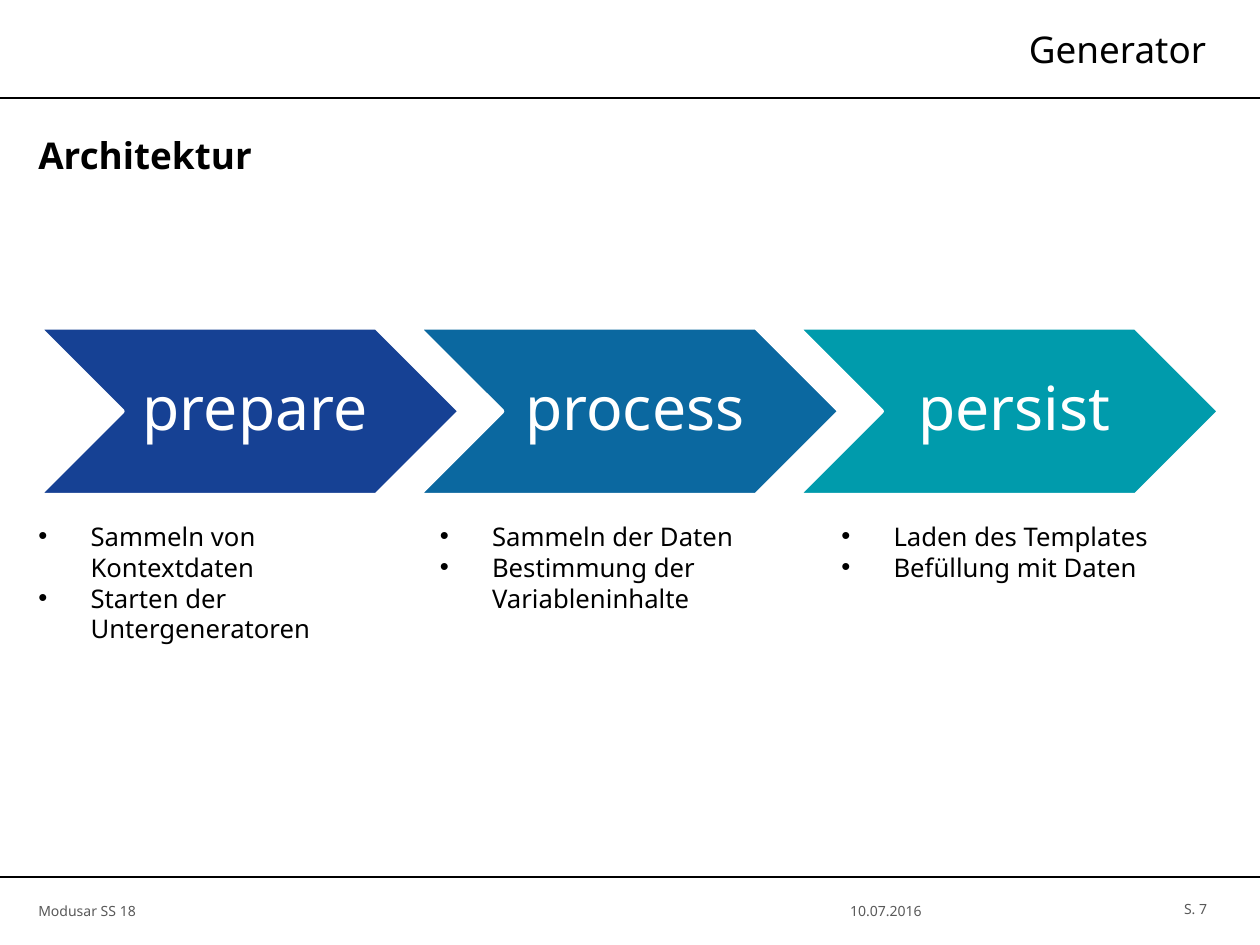
from dataclasses import dataclass

from lxml.etree import SubElement
from pptx import Presentation
from pptx.dml.color import RGBColor
from pptx.enum.shapes import MSO_CONNECTOR as Connector, MSO_SHAPE as Preset
from pptx.enum.text import MSO_ANCHOR as Anchor, PP_ALIGN as Align
from pptx.oxml.ns import qn
from pptx.util import Cm, Pt

FONT = "Noto Sans"
BLACK, WHITE, GREY = "000000", "FFFFFF", "595959"
SLIDE_WIDTH, SLIDE_HEIGHT = 19.05, 14.29
MARGIN = 0.58
STEP_TOP, STEP_WIDTH, STEP_HEIGHT, STEP_PITCH = 4.95, 6.38, 2.54, 5.74
TASKS_LEFT, TASKS_TOP, TASKS_WIDTH, TASKS_PITCH = 0.33, 7.75, 5.31, 6.07
TASK_INDENT = 0.79


@dataclass
class Label:
    text: str
    left: float
    top: float
    width: float
    height: float
    size: float
    color: str = BLACK
    align: Align = Align.LEFT
    bold: bool = False
    inset_left: float = 0
    inset_right: float = 0.18


@dataclass
class Step:
    name: str
    color: str
    tasks: tuple[str, ...]


LABELS = (
    Label("10.07.2016", 9.98, 13.26, 6.83, 1.02, 6, GREY, Align.CENTER, inset_left=0.18),
    Label("Modusar SS 18", MARGIN, 13.26, 9.4, 1.02, 6, GREY),
    Label("S. 7", 16.78, 13.24, 1.65, 1.02, 6, GREY, Align.RIGHT, inset_left=0.18),
    Label("Architektur", MARGIN, 1.65, 17.86, 1.37, 15.8, bold=True, inset_right=0),
    Label("Generator", 5.61, 0.29, 12.81, 0.89, 15.8, align=Align.RIGHT),
)
STEPS = (
    Step("prepare", "164194", ("Sammeln von Kontextdaten", "Starten der Untergeneratoren")),
    Step("process", "0B68A0", ("Sammeln der Daten", "Bestimmung der Variableninhalte")),
    Step("persist", "009BAC", ("Laden des Templates", "Befüllung mit Daten")),
)


def rgb(value: str) -> RGBColor:
    return RGBColor.from_string(value)


def style(paragraph, size: float, color: str, align: Align = Align.LEFT, bold: bool = False) -> None:
    paragraph.alignment = align
    font = paragraph.font
    font.name, font.size, font.bold = FONT, Pt(size), bold
    font.color.rgb = rgb(color)


def set_frame(frame, left: float, right: float) -> None:
    frame.word_wrap = True
    frame.vertical_anchor = Anchor.MIDDLE
    frame.margin_left, frame.margin_right = Cm(left), Cm(right)
    frame.margin_top = frame.margin_bottom = Cm(0.1)


def add_rule(shapes, top: float) -> None:
    rule = shapes.add_connector(Connector.STRAIGHT, 0, Cm(top), Cm(SLIDE_WIDTH), Cm(top))
    rule.line.color.rgb = rgb(BLACK)
    rule.line.width = Pt(1)
    SubElement(rule._element.spPr, qn("a:effectLst"))


def add_label(shapes, label: Label) -> None:
    box = shapes.add_textbox(Cm(label.left), Cm(label.top), Cm(label.width), Cm(label.height))
    frame = box.text_frame
    set_frame(frame, label.inset_left, label.inset_right)
    frame.text = label.text
    style(frame.paragraphs[0], label.size, label.color, label.align, label.bold)


def add_step(shapes, step: Step, index: int) -> None:
    chevron = shapes.add_shape(Preset.CHEVRON, Cm(MARGIN + index * STEP_PITCH), Cm(STEP_TOP),
                               Cm(STEP_WIDTH), Cm(STEP_HEIGHT))
    chevron.shadow.inherit = False
    chevron.fill.solid()
    chevron.fill.fore_color.rgb = rgb(step.color)
    chevron.line.color.rgb = rgb(WHITE)
    chevron.line.width = Pt(2)
    frame = chevron.text_frame
    set_frame(frame, 0.28, 0.1)
    frame.text = step.name
    name = frame.paragraphs[0]
    style(name, 26, WHITE, Align.CENTER)
    name.line_spacing = 0.9


def add_tasks(shapes, step: Step, index: int) -> None:
    box = shapes.add_textbox(Cm(TASKS_LEFT + index * TASKS_PITCH), Cm(TASKS_TOP),
                             Cm(TASKS_WIDTH), Cm(2.2))
    frame = box.text_frame
    frame.word_wrap = True
    frame.text = "\n".join(step.tasks)
    for task in frame.paragraphs:
        style(task, 11, BLACK)
        properties = task._p.get_or_add_pPr()
        properties.set("marL", str(Cm(TASK_INDENT)))
        properties.set("indent", str(-Cm(TASK_INDENT)))
        bullet_font = SubElement(properties, qn("a:buFont"), typeface="Arial")
        bullet = SubElement(properties, qn("a:buChar"), char="•")
        properties.insert(0, bullet_font)
        properties.insert(1, bullet)


def main() -> None:
    presentation = Presentation()
    presentation.slide_width, presentation.slide_height = Cm(SLIDE_WIDTH), Cm(SLIDE_HEIGHT)
    shapes = presentation.slides.add_slide(presentation.slide_layouts[6]).shapes
    for top in (1.48, 13.26):
        add_rule(shapes, top)
    for label in LABELS:
        add_label(shapes, label)
    for index, step in enumerate(STEPS):
        add_step(shapes, step, index)
        add_tasks(shapes, step, index)
    presentation.save("out.pptx")


main()
